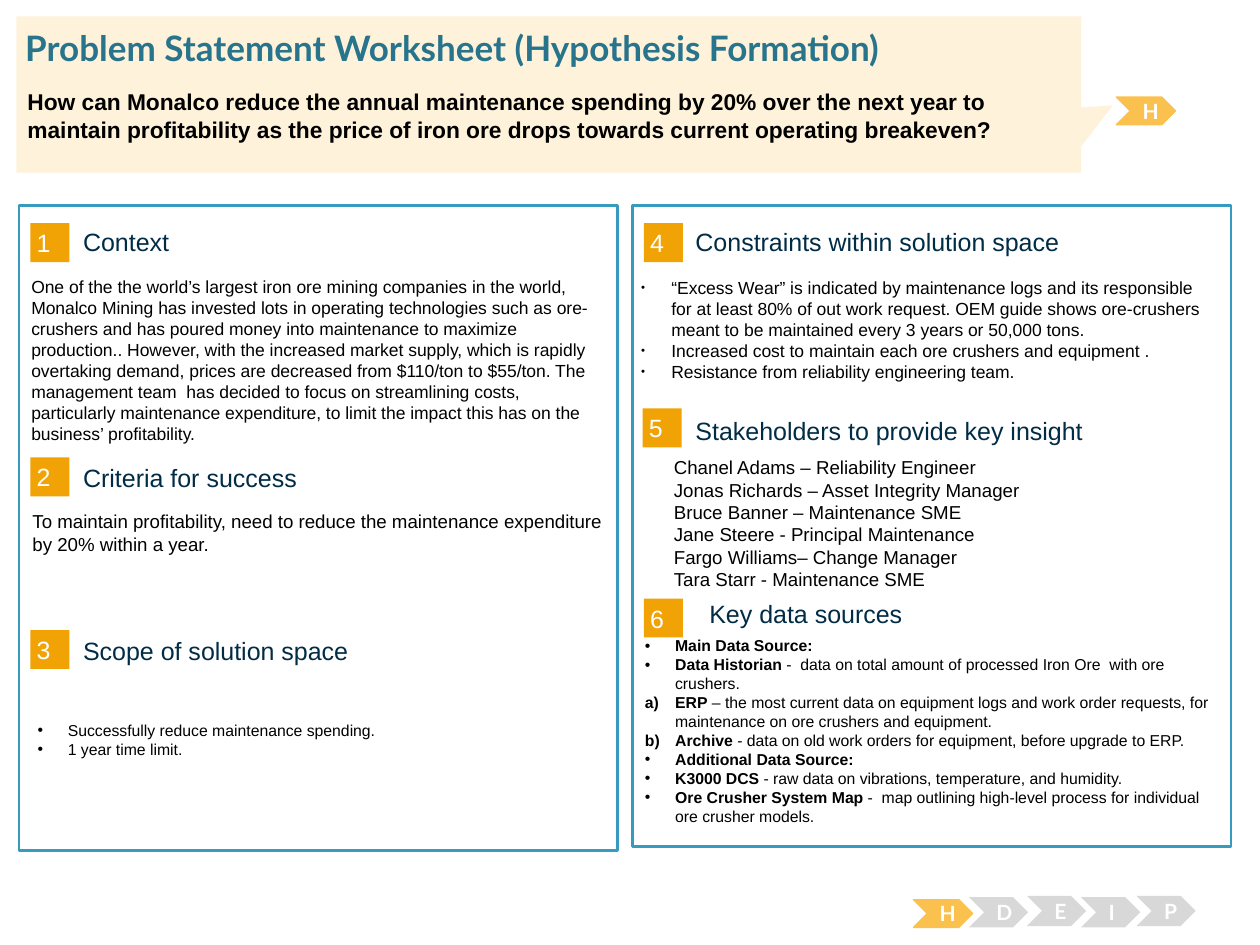
from lxml.etree import SubElement
from pptx import Presentation
from pptx.dml.color import RGBColor
from pptx.enum.shapes import MSO_SHAPE as SHAPE
from pptx.enum.text import MSO_ANCHOR as ANCHOR, PP_ALIGN as ALIGN
from pptx.oxml.ns import qn
from pptx.util import Inches, Pt

WHITE = RGBColor(0xFF, 0xFF, 0xFF)
BLACK = RGBColor(0, 0, 0)
BLUE = RGBColor(0x37, 0x9B, 0xBD)
TEAL = RGBColor(0x29, 0x74, 0x8D)
NAVY = RGBColor(0x00, 0x2C, 0x46)
ORANGE = RGBColor(0xF1, 0xA2, 0x05)
AMBER = RGBColor(0xFB, 0xC1, 0x4E)
GRAY = RGBColor(0xD8, 0xD8, 0xD8)
CREAM = RGBColor(0xFE, 0xF2, 0xDA)

TITLE = "Problem Statement Worksheet (Hypothesis Formation)"
QUESTION = ("How can Monalco reduce the annual maintenance spending by 20% over the next year to "
            "maintain profitability as the price of iron ore drops towards current operating breakeven?")

PANELS = [(0.15, 1.63, 4.75, 5.12), (5.02, 1.63, 4.75, 5.09)]

SECTIONS = [
    ("1", (0.24, 1.77), "Context", (0.66, 1.8)),
    ("2", (0.24, 3.63), "Criteria for success", (0.66, 3.67)),
    ("3", (0.24, 5), "Scope of solution space", (0.66, 5.04)),
    ("4", (5.11, 1.77), "Constraints within solution space", (5.52, 1.8)),
    ("5", (5.1, 3.24), "Stakeholders to provide key insight", (5.52, 3.3)),
    ("6", (5.11, 4.75), "Key data sources", (5.63, 4.75)),
]

CONTEXT = (
    "One of the the world’s largest iron ore mining companies in the world, Monalco Mining has "
    "invested lots in operating technologies such as ore-crushers and has poured money into "
    "maintenance to maximize production.. However, with the increased market supply, which is "
    "rapidly overtaking demand, prices are decreased from $110/ton to $55/ton. The management "
    "team  has decided to focus on streamlining costs, particularly maintenance expenditure, to "
    "limit the impact this has on the business’ profitability."
)
CRITERIA = "To maintain profitability, need to reduce the maintenance expenditure by 20% within a year."
SCOPE = ["Successfully reduce maintenance spending.", "1 year time limit."]
CONSTRAINTS = [
    "“Excess Wear” is indicated by maintenance logs and its responsible for at least 80% of out "
    "work request. OEM guide shows ore-crushers meant to be maintained every 3 years or 50,000 tons.",
    "Increased cost to maintain each ore crushers and equipment .",
    "Resistance from reliability engineering team.",
]
STAKEHOLDERS = [
    "Chanel Adams – Reliability Engineer",
    "Jonas Richards – Asset Integrity Manager",
    "Bruce Banner – Maintenance SME",
    "Jane Steere - Principal Maintenance",
    "Fargo Williams– Change Manager",
    "Tara Starr - Maintenance SME",
]
SOURCES = [
    ("•", "Main Data Source:", ""),
    ("•", "Data Historian ", "-  data on total amount of processed Iron Ore  with ore crushers."),
    ("a)", "ERP", " – the most current data on equipment logs and work order requests, for "
                  "maintenance on ore crushers and equipment."),
    ("a)", "Archive", " - data on old work orders for equipment, before upgrade to ERP."),
    ("•", "Additional Data Source:", ""),
    ("•", "K3000 DCS", " - raw data on vibrations, temperature, and humidity."),
    ("•", "Ore Crusher System Map", " -  map outlining high-level process for individual ore "
                                    "crusher models."),
]

STAGES = [
    ("H", 7.25, 7.14, 0.22, AMBER),
    ("D", 7.69, 7.12, 0.24, GRAY),
    ("E", 8.15, 7.11, 0.24, GRAY),
    ("I", 8.58, 7.12, 0.24, GRAY),
    ("P", 9.02, 7.11, 0.24, GRAY),
    ("H", 8.86, 0.77, 0.22, AMBER),
]

prs = Presentation()
prs.slide_width, prs.slide_height = Inches(10), Inches(7.5)
s = prs.slides.add_slide(prs.slide_layouts[6])


def add_box(kind, at, fill, line=None, width=0.75):
    sp = s.shapes.add_shape(kind, *map(Inches, at))
    sp.shadow.inherit = False
    sp.fill.solid()
    sp.fill.fore_color.rgb = fill
    if line is None:
        sp.line.fill.background()
    else:
        sp.line.color.rgb = line
        sp.line.width = Pt(width)
    return sp


def style(r, size, color, bold=False, font="Arial"):
    r.font.size, r.font.name, r.font.bold = Pt(size), font, bold
    r.font.color.rgb = color


def set_text(sp, lines, size, color, bold=False, font="Arial", inset=(0.1, 0.05),
             anchor=ANCHOR.TOP, align=ALIGN.LEFT):
    tf = sp.text_frame
    tf.word_wrap = True
    tf.vertical_anchor = anchor
    tf.margin_left = tf.margin_right = Inches(inset[0])
    tf.margin_top = tf.margin_bottom = Inches(inset[1])
    tf.text = "\n".join(lines)
    for p in tf.paragraphs:
        p.alignment = align
        for r in p.runs:
            style(r, size, color, bold, font)
    return tf


def add_text(at, lines, size, color=BLACK, **options):
    return set_text(s.shapes.add_textbox(*map(Inches, at)), lines, size, color, **options)


def add_bullet(p, mark="•", percent=100):
    pPr = p._p.get_or_add_pPr()
    pPr.set("marL", str(Inches(0.24)))
    pPr.set("indent", str(-Inches(0.24)))
    SubElement(SubElement(pPr, qn("a:buClr")), qn("a:srgbClr"), val=str(BLACK))
    SubElement(pPr, qn("a:buSzPct"), val=str(percent * 1000))
    SubElement(pPr, qn("a:buFont"), typeface="Arial")
    if mark == "a)":
        SubElement(pPr, qn("a:buAutoNum"), type="alphaLcParenR")
    else:
        SubElement(pPr, qn("a:buChar"), char=mark)


for at in PANELS:
    add_box(SHAPE.RECTANGLE, at, WHITE, BLUE, 1.5)

for number, badge_at, heading, heading_at in SECTIONS:
    badge = add_box(SHAPE.RECTANGLE, (*badge_at, 0.31, 0.31), ORANGE)
    set_text(badge, [number], 14.3, WHITE, inset=(0.05, 0.05), anchor=ANCHOR.MIDDLE)
    add_text((*heading_at, 3.93, 0.24), [heading], 14.3, NAVY, inset=(0, 0), anchor=ANCHOR.MIDDLE)

add_text((0.15, 2.14, 4.73, 1.36), [CONTEXT], 10)
add_text((0.16, 4, 4.73, 1), [CRITERIA], 10.7)
add_text((5.25, 3.57, 4.52, 1.18), STAKEHOLDERS, 10.7)

for at, lines, size, percent in [
    ((0.2, 5.67, 4.73, 0.82), SCOPE, 9, 100),
    ((4.99, 2.15, 4.73, 1.18), CONSTRAINTS, 10, 65),
]:
    for p in add_text(at, lines, size).paragraphs:
        add_bullet(p, percent=percent)

names = [name for _, name, _ in SOURCES]
tf = add_text((5.02, 5, 4.73, 1.74), names, 9, bold=True)
for p, (mark, _, detail) in zip(tf.paragraphs, SOURCES):
    add_bullet(p, mark)
    if detail:
        r = p.add_run()
        r.text = detail
        style(r, 9, BLACK)

for letter, x, y, h, color in STAGES:
    stage = add_box(SHAPE.CHEVRON, (x, y, 0.47, h), color, AMBER if color == AMBER else None)
    set_text(stage, [letter], 12, WHITE, bold=True, font="Lato",
             anchor=ANCHOR.MIDDLE, align=ALIGN.CENTER)

callout = add_box(SHAPE.RECTANGULAR_CALLOUT, (0.13, 0.13, 8.45, 1.24), CREAM)
callout.adjustments[0], callout.adjustments[1] = 0.53, 0.07
add_text((0.2, 0.21, 9.62, 0.34), [TITLE], 20, TEAL, bold=True, font="Lato", inset=(0, 0))
add_text((0.12, 0.65, 8.46, 0.72), [QUESTION], 13, bold=True)

prs.save("out.pptx")
